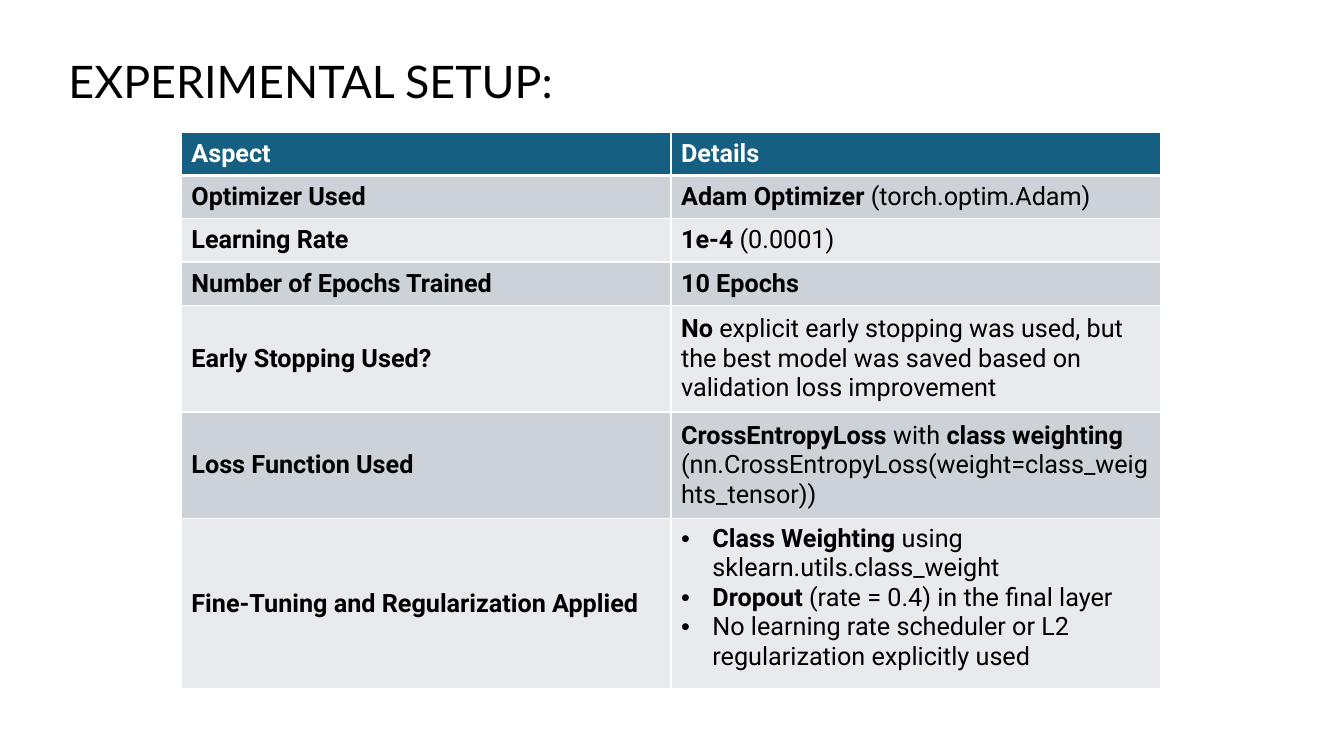
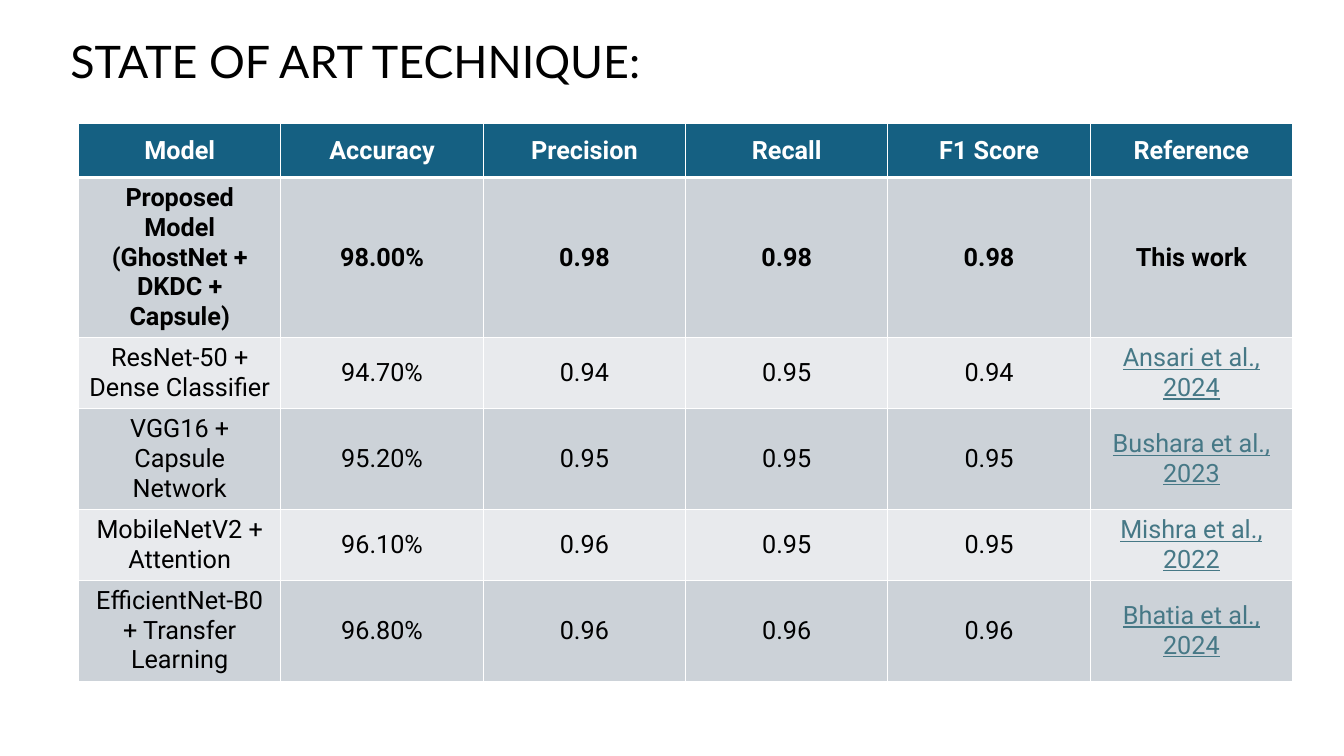
"""Build two slides: the experimental setup and a comparison of techniques."""
from lxml import etree
from pptx import Presentation
from pptx.dml.color import RGBColor
from pptx.enum.text import MSO_ANCHOR, MSO_AUTO_SIZE, PP_ALIGN
from pptx.oxml.ns import qn
from pptx.util import Cm, Pt

LEFT, CENTER = PP_ALIGN.LEFT, PP_ALIGN.CENTER
TOP, MIDDLE = MSO_ANCHOR.TOP, MSO_ANCHOR.MIDDLE
NO_AUTOFIT = MSO_AUTO_SIZE.NONE
TITLE_ONLY = 5

COLORS = {
    "text": "000000",
    "header_text": "FFFFFF",
    "header": "156082",
    "band_dark": "CCD2D8",
    "band_light": "E8EAED",
    "border": "FFFFFF",
    "citation": "467886",
}
TITLE_FONT = {"name": "Lato", "size": Pt(32), "bold": False}
TABLE_FONT = {"name": "Roboto", "size": Pt(18)}
TITLE_FRAME = {"word_wrap": True, "auto_size": NO_AUTOFIT, "vertical_anchor": MIDDLE}
BULLET_INDENT = Cm(0.79)
BULLET = "• "
BOLD_MARK = "**"

SLIDES = [
    {
        "title": "EXPERIMENTAL SETUP:",
        "title_at": (1.47, 1.22),
        "table_at": (4.57, 3.33),
        "column_width": 12.34,
        "row_heights": [1.09] * 4 + [2.69] * 2 + [4.29],
        "align": LEFT,
        "rows": [
            ["**Aspect**", "**Details**"],
            ["**Optimizer Used**", "**Adam Optimizer** (torch.optim.Adam)"],
            ["**Learning Rate**", "**1e-4** (0.0001)"],
            ["**Number of Epochs Trained**", "**10 Epochs**"],
            ["**Early Stopping Used?**",
             "**No** explicit early stopping was used, but the best model "
             "was saved based on validation loss improvement"],
            ["**Loss Function Used**",
             "**CrossEntropyLoss** with **class weighting** "
             "(nn.CrossEntropyLoss(weight=class_weights_tensor))"],
            ["**Fine-Tuning and Regularization Applied**",
             "• **Class Weighting** using sklearn.utils.class_weight\n"
             "• **Dropout** (rate = 0.4) in the final layer\n"
             "• No learning rate scheduler or L2 regularization explicitly used"],
        ],
    },
    {
        "title": "STATE OF ART TECHNIQUE:",
        "title_at": (1.52, 0.71),
        "table_at": (1.98, 3.12),
        "column_width": 5.1,
        "row_heights": [1.35, 4.04, 1.78, 2.55, 1.78, 2.55],
        "align": CENTER,
        "rows": [
            ["**Model**", "**Accuracy**", "**Precision**", "**Recall**",
             "**F1 Score**", "**Reference**"],
            ["**Proposed Model (GhostNet + DKDC + Capsule)**", "**98.00%**",
             "**0.98**", "**0.98**", "**0.98**", "**This work**"],
            ["ResNet-50 + Dense Classifier", "94.70%", "0.94", "0.95", "0.94",
             "Ansari et al., 2024"],
            ["VGG16 + Capsule Network", "95.20%", "0.95", "0.95", "0.95",
             "Bushara et al., 2023"],
            ["MobileNetV2 + Attention", "96.10%", "0.96", "0.95", "0.95",
             "Mishra et al., 2022"],
            ["EfficientNet-B0 + Transfer Learning", "96.80%", "0.96", "0.96",
             "0.96", "Bhatia et al., 2024"],
        ],
    },
]


def style_cell(cell, fill, border_widths):
    """Draw the cell borders, then fill the cell."""
    properties = cell._tc.get_or_add_tcPr()
    for side, width in border_widths.items():
        line = etree.SubElement(properties, qn(f"a:ln{side}"), w=str(Pt(width)))
        solid = etree.SubElement(line, qn("a:solidFill"))
        etree.SubElement(solid, qn("a:srgbClr"), val=COLORS["border"])
    cell.fill.solid()
    cell.fill.fore_color.rgb = RGBColor.from_string(COLORS[fill])


def add_text(paragraph, text, formats, color, align):
    """Write text whose marked parts are bold and whose bullet is a real one."""
    paragraph.alignment = align
    if text.startswith(BULLET):
        text = text.removeprefix(BULLET)
        properties = paragraph._p.get_or_add_pPr()
        properties.set("marL", str(BULLET_INDENT))
        properties.set("indent", str(-BULLET_INDENT))
        etree.SubElement(properties, qn("a:buFont"), typeface="Arial")
        etree.SubElement(properties, qn("a:buChar"), char=BULLET.strip())
    for index, part in enumerate(text.split(BOLD_MARK)):
        if part:
            run = paragraph.add_run()
            run.text = part
            values = {"bold": index % 2 == 1, "underline": color == "citation"}
            for attribute, value in (values | formats).items():
                setattr(run.font, attribute, value)
            run.font.color.rgb = RGBColor.from_string(COLORS[color])


deck = Presentation()
deck.slide_width, deck.slide_height = Cm(33.87), Cm(19.05)

for content in SLIDES:
    slide = deck.slides.add_slide(deck.slide_layouts[TITLE_ONLY])
    title = slide.shapes.title
    title.left, title.top = map(Cm, content["title_at"])
    title.width, title.height = Cm(30.81), Cm(1.63)
    for attribute, value in TITLE_FRAME.items():
        setattr(title.text_frame, attribute, value)
    add_text(title.text_frame.paragraphs[0], content["title"], TITLE_FONT, "text", LEFT)

    rows, heights = content["rows"], content["row_heights"]
    column_count = len(rows[0])
    left, top = map(Cm, content["table_at"])
    table = slide.shapes.add_table(
        len(rows), column_count, left, top,
        Cm(content["column_width"] * column_count), Cm(sum(heights)),
    ).table
    for column in table.columns:
        column.width = Cm(content["column_width"])

    for row_index, (texts, height) in enumerate(zip(rows, heights)):
        table.rows[row_index].height = Cm(height)
        is_header = row_index == 0
        band = "band_dark" if row_index % 2 else "band_light"
        border_widths = {"L": 1, "R": 1, "T": 3 if row_index == 1 else 1,
                         "B": 3 if is_header else 1}
        for column_index, text in enumerate(texts):
            cell = table.cell(row_index, column_index)
            style_cell(cell, "header" if is_header else band, border_widths)
            cell.vertical_anchor = TOP if text.startswith(BULLET) else MIDDLE
            color = "header_text" if is_header else "text"
            if "et al." in text:
                color = "citation"
            for line_index, line_text in enumerate(text.split("\n")):
                frame = cell.text_frame
                paragraph = frame.add_paragraph() if line_index else frame.paragraphs[0]
                add_text(paragraph, line_text, TABLE_FONT, color, content["align"])

deck.save("out.pptx")
